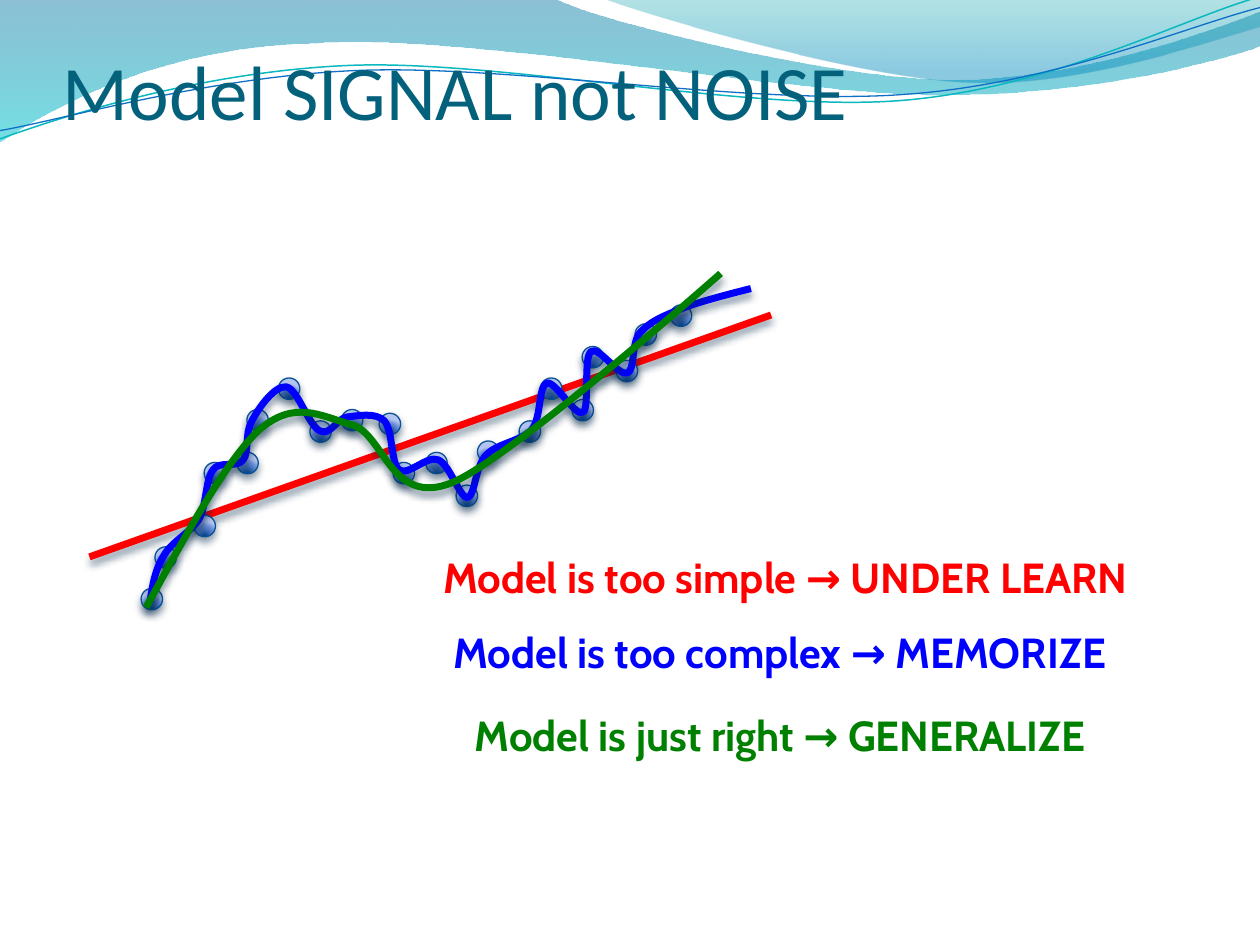
from dataclasses import dataclass
from typing import NamedTuple

from lxml.etree import SubElement as Sub
from pptx import Presentation
from pptx.dml.color import RGBColor as Rgb
from pptx.enum.shapes import MSO_CONNECTOR as Link, MSO_SHAPE as Form
from pptx.enum.text import MSO_ANCHOR as Anchor, MSO_AUTO_SIZE as Fit
from pptx.oxml.ns import qn
from pptx.util import Inches, Pt

COLS, ROWS = 10, 7.5
CELL = Inches(1)  # one grid cell


@dataclass(frozen=True)
class Theme:
    title: str = "04617B"
    red: str = "FF0000"
    blue: str = "0000FF"
    green: str = "008000"
    rim: str = "095295"
    shade: str = "042747"
    teal: str = "0AB8BF"
    navy: str = "0F6FC6"
    head: float = 44
    body: float = 24
    thick: float = 4
    thin: float = 0.75
    head_font: str = "Calibri"
    body_font: str = "Cabin"


class Stop(NamedTuple):
    pos: int
    color: str
    alpha: int = 100


class Curve(NamedTuple):
    start: tuple
    steps: tuple  # two numbers: straight step, six: Bezier step
    color: str = ""
    width: float = 0
    stops: tuple = ()


class Label(NamedTuple):
    text: str
    color: str
    box: tuple


T = Theme()
DOT = 0.17
BALL = (Stop(0, "003D87"), Stop(68, "668DD7"), Stop(100, "B3C4EF"))

BANDS = (
    Curve((0, 0), (
        (4.4, -0.01), (4.76, 0.17, 6.64, 0.63, 7.58, 0.63),
        (8.53, 0.63, 9.58, 0.26, 10, 0.09), (10.01, 0.36),
        (9.83, 0.44, 8.7, 0.76, 7.46, 0.75), (6.22, 0.75, 3.82, 0.28, 2.57, 0.34),
        (1.29, 0.36, 0.46, 0.83, -0.01, 1.13), (0, 0)),
        stops=(Stop(0, "0074A1", 45), Stop(100, "00C6CF", 55))),
    Curve((4.79, -0.01), (
        (5.09, 0.11, 6.82, 0.62, 7.69, 0.65), (8.56, 0.69, 9.61, 0.32, 10, 0.21),
        (10, 0), (4.79, -0.01)),
        stops=(Stop(0, "00A1A9", 30), Stop(80, "008BBF", 45))),
    Curve((-0.02, 1.11), (
        (0.48, 0.93, 1.58, 0.57, 2.77, 0.52), (3.95, 0.47, 5.93, 0.89, 7.13, 0.8),
        (8.33, 0.71, 9.38, 0.15, 9.98, -0.02)), T.teal, 0.85),
    Curve((-0.02, 1.04), (
        (0.47, 0.96, 1.64, 0.61, 2.83, 0.56), (4.03, 0.51, 5.97, 0.84, 7.17, 0.75),
        (8.36, 0.67, 9.41, 0.21, 10, 0.06)), T.navy, T.thin),
)

DOTS = (
    (1.23, 4.34), (1.12, 4.67), (1.54, 4.09), (1.62, 3.67), (1.88, 3.59),
    (1.96, 3.25), (2.21, 3), (2.71, 3.25), (2.46, 3.34), (3.01, 3.28),
    (3.12, 3.67), (3.38, 3.59), (3.62, 3.85), (3.79, 3.5), (4.12, 3.34),
    (4.29, 3), (4.54, 3.17), (4.62, 2.75), (4.89, 2.86), (5.04, 2.57), (5.32, 2.42),
)

FITS = (
    Curve((1.19, 4.78), (
        (1.21, 4.65, 1.23, 4.52, 1.3, 4.41), (1.36, 4.3, 1.51, 4.23, 1.58, 4.12),
        (1.64, 4.01, 1.63, 3.81, 1.69, 3.73), (1.74, 3.65, 1.88, 3.72, 1.93, 3.65),
        (1.98, 3.59, 1.94, 3.44, 2, 3.34), (2.05, 3.24, 2.18, 3.06, 2.27, 3.07),
        (2.36, 3.08, 2.45, 3.38, 2.54, 3.42), (2.62, 3.46, 2.67, 3.33, 2.75, 3.31),
        (2.84, 3.3, 2.98, 3.27, 3.05, 3.34), (3.12, 3.41, 3.1, 3.68, 3.17, 3.73),
        (3.24, 3.78, 3.39, 3.61, 3.48, 3.65), (3.57, 3.69, 3.65, 3.95, 3.71, 3.95),
        (3.77, 3.94, 3.77, 3.7, 3.86, 3.61), (3.94, 3.52, 4.14, 3.5, 4.22, 3.41),
        (4.3, 3.31, 4.27, 3.07, 4.34, 3.04), (4.41, 3.02, 4.57, 3.32, 4.63, 3.27),
        (4.68, 3.23, 4.63, 2.84, 4.69, 2.79), (4.75, 2.74, 4.91, 2.99, 4.98, 2.96),
        (5.04, 2.94, 5.01, 2.72, 5.08, 2.64), (5.16, 2.55, 5.26, 2.51, 5.41, 2.45),
        (5.55, 2.39, 5.96, 2.29, 5.96, 2.29)), T.blue, T.thick),
    Curve((1.16, 4.82), (
        (1.48, 4.24, 1.79, 3.66, 2.06, 3.41), (2.34, 3.17, 2.54, 3.3, 2.79, 3.37),
        (3.05, 3.44, 3.1, 4.03, 3.59, 3.83), (4.07, 3.63, 5.72, 2.17, 5.72, 2.17)),
        T.green, T.thick),
)

LABELS = (
    Label("Model is too simple → UNDER LEARN", T.red, (3.42, 4.33, 6.33, 0.5)),
    Label("Model is too complex → MEMORIZE", T.blue, (3.5, 4.92, 5.98, 0.5)),
    Label("Model is just right → GENERALIZE", T.green, (3.67, 5.58, 5.77, 0.5)),
)


def grid(*cells: float) -> list[int]:
    return [round(c * CELL) for c in cells]


def apply(obj, form: dict) -> None:
    for key, val in form.items():
        setattr(obj, key, val)


def tint(parent, color: str, alpha: int) -> None:
    node = Sub(parent, qn("a:srgbClr"), val=color)
    Sub(node, qn("a:alpha"), val=str(alpha * 1000))


def stroke(shape, color: str, width: float) -> None:
    shape.line.color.rgb = Rgb.from_string(color)
    shape.line.width = Pt(width)


def blend(shape, stops: tuple, ball: bool = False) -> None:
    """Fill with a gradient: downward, or round for a ball."""
    shape.fill.background()
    props = shape._element.spPr
    grad = Sub(props, qn("a:gradFill"), rotWithShape="1")
    props.replace(props.find(qn("a:noFill")), grad)
    row = Sub(grad, qn("a:gsLst"))
    for stop in stops:
        tint(Sub(row, qn("a:gs"), pos=str(stop.pos * 1000)), stop.color, stop.alpha)
    if ball:
        way = Sub(grad, qn("a:path"), path="circle")
        Sub(way, qn("a:fillToRect"), l="50000", t="130000", r="50000", b="-30000")
    else:
        Sub(grad, qn("a:lin"), ang="5400000", scaled="1")


def shadow(shape) -> None:
    props = shape._element.spPr
    fx = props.find(qn("a:effectLst"))
    fx = Sub(props, qn("a:effectLst")) if fx is None else fx
    drop = Sub(fx, qn("a:outerShdw"), blurRad=str(Pt(4.5)), dist=str(Pt(3)),
               dir="5400000", rotWithShape="0")
    tint(drop, T.shade, 48)


def draw(shapes, curve: Curve):
    """Lay out all points as straight steps, then bend each triple."""
    pts = [grid(*s[i:i + 2]) for s in curve.steps for i in range(0, len(s), 2)]
    pen = shapes.build_freeform(*grid(*curve.start))
    pen.add_line_segments(pts, close=bool(curve.stops))
    shape = pen.convert_to_shape()
    shape.shadow.inherit = False
    legs = iter(list(shape._element.iter(qn("a:lnTo"))))
    for step in curve.steps:
        first = next(legs)
        if len(step) == 6:
            first.tag = qn("a:cubicBezTo")
            for leg in (next(legs), next(legs)):
                first.append(leg[0])
                leg.getparent().remove(leg)
    if curve.stops:
        blend(shape, curve.stops)
        shape.line.fill.background()
    else:
        shape.fill.background()
        stroke(shape, curve.color, curve.width)
    return shape


def dot(shapes, x: float, y: float) -> None:
    ball = shapes.add_shape(Form.OVAL, *grid(x, y, DOT, DOT))
    ball.shadow.inherit = False
    blend(ball, BALL, ball=True)
    stroke(ball, T.rim, T.thin)
    shadow(ball)


def write(shapes, label: Label, font: dict, frame: dict) -> None:
    body = shapes.add_textbox(*grid(*label.box)).text_frame
    apply(body, frame)
    run = body.paragraphs[0].add_run()
    run.text = label.text
    apply(run.font, font)
    run.font.color.rgb = Rgb.from_string(label.color)


def main() -> None:
    deck = Presentation()
    apply(deck, {"slide_width": grid(COLS)[0], "slide_height": grid(ROWS)[0]})
    shapes = deck.slides.add_slide(deck.slide_layouts[6]).shapes

    # Wave header
    for band in BANDS:
        draw(shapes, band)

    # Straight fit
    line = shapes.add_connector(Link.STRAIGHT, *grid(0.71, 4.42, 6.12, 2.5))
    stroke(line, T.red, T.thick)
    shadow(line)

    # Title
    write(shapes, Label("Model SIGNAL not NOISE", T.title, (0.5, 0.25, 8.46, 0.83)),
          {"name": T.head_font, "size": Pt(T.head)},
          {"word_wrap": True, "vertical_anchor": Anchor.BOTTOM,
           "margin_left": 0, "margin_right": 0, "margin_bottom": 0})

    # Data points and curved fits
    for x, y in DOTS:
        dot(shapes, x, y)
    for fit in FITS:
        shadow(draw(shapes, fit))

    # Captions
    for label in LABELS:
        write(shapes, label, {"name": T.body_font, "size": Pt(T.body), "bold": True},
              {"word_wrap": False, "auto_size": Fit.SHAPE_TO_FIT_TEXT})

    deck.save("out.pptx")


if __name__ == "__main__":
    main()
